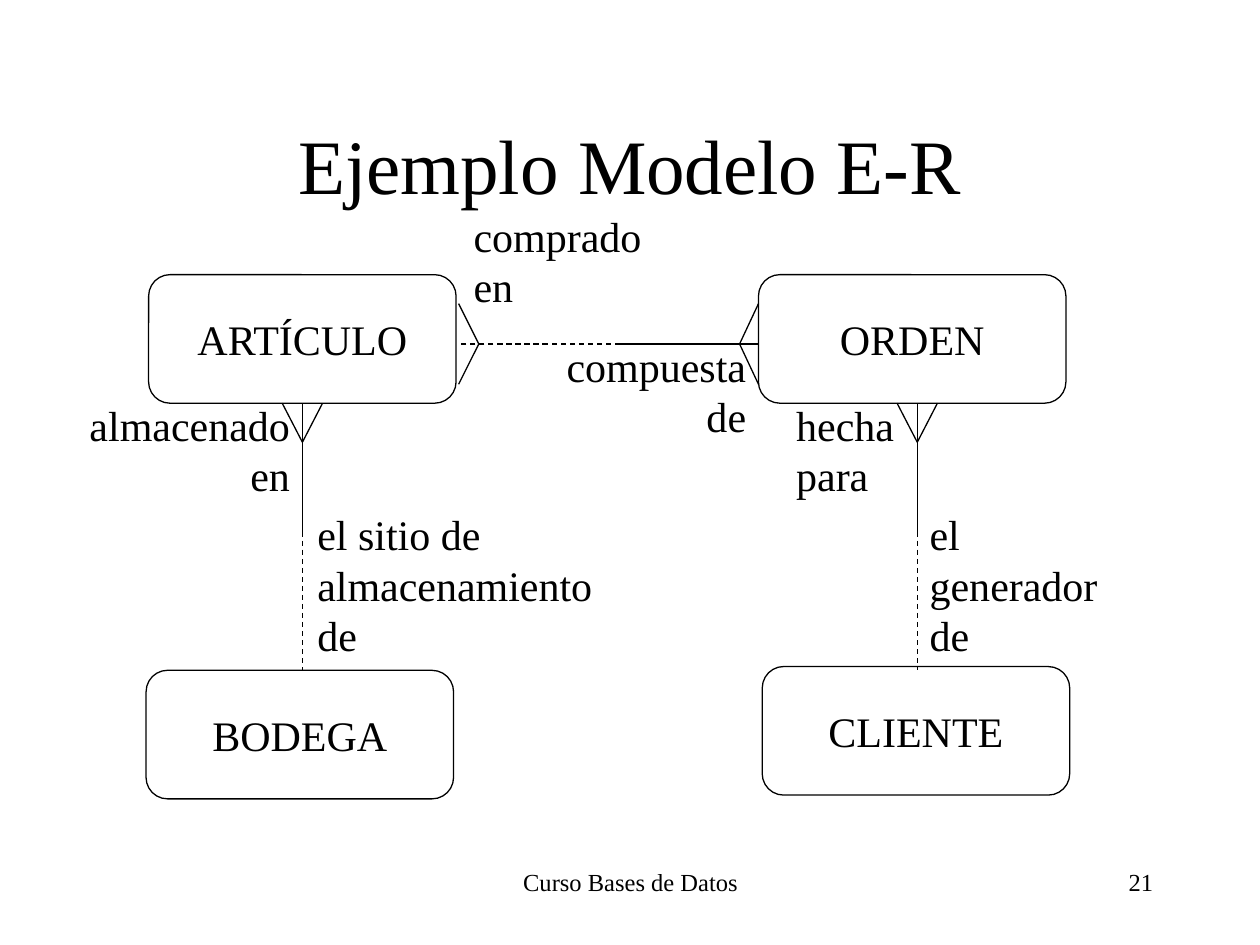
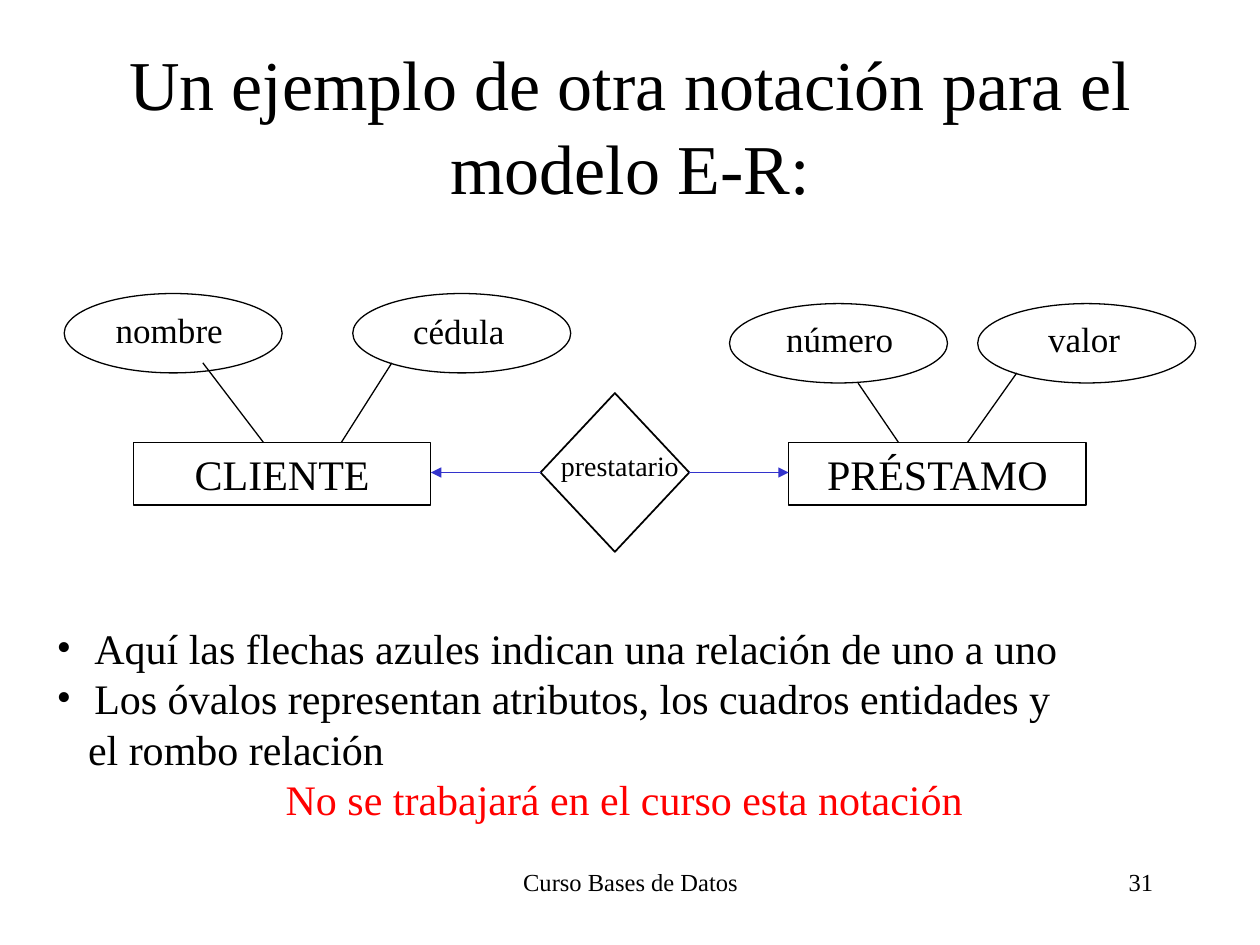
"""Builds two slides on entity-relationship notation."""
from dataclasses import dataclass

from lxml.etree import SubElement
from pptx import Presentation
from pptx.dml.color import RGBColor
from pptx.enum.dml import MSO_LINE
from pptx.enum.shapes import MSO_CONNECTOR, MSO_SHAPE as SHP
from pptx.enum.text import MSO_ANCHOR as ANC, PP_ALIGN as AL
from pptx.oxml.ns import qn
from pptx.util import Inches, Pt


@dataclass(frozen=True)
class Theme:
    font: str = "Times New Roman"
    ink: str = "000000"
    arrow: str = "3333CC"
    alert: str = "FF0000"
    paper: str = "FFFFFF"
    body: int = 24
    attribute: int = 20
    relation: int = 16
    footer: int = 14
    line: float = 0.75
    diamond_line: float = 1


T = Theme()
FOOTER = "Curso Bases de Datos"

ENTITY_SIZE = (2.44, 1.02)
ENTITIES = [
    ("ARTÍCULO", 1.18, 2.18),
    ("BODEGA", 1.16, 5.32),
    ("ORDEN", 6.02, 2.18),
    ("CLIENTE", 6.05, 5.29),
]
ROLES = [
    ("almacenado en", (0.27, 3.12, 2.13, 0.9), AL.RIGHT),
    ("el sitio de almacenamiento de", (2.42, 3.99, 2.6, 1.3), AL.LEFT),
    ("comprado en", (3.66, 1.62, 1.81, 0.9), AL.LEFT),
    ("compuesta de", (4.21, 2.65, 1.81, 0.9), AL.RIGHT),
    ("hecha para", (6.22, 3.12, 0.99, 0.9), AL.LEFT),
    ("el generador de", (7.28, 3.99, 1.57, 1.3), AL.LEFT),
]
VERTICAL_LINKS = [2.4, 7.28]
LINK_TOP, LINK_MID, LINK_END, FOOT_TIP = 3.2, 4.22, 5.32, 3.51
LINK_Y, LINK_LEFT, LINK_CENTER, LINK_RIGHT = 2.73, 3.66, 4.92, 6.02
SIDE_FEET = [(3.64, 3.8), (6.02, 5.87)]
FOOT_NARROW, FOOT_WIDE = 0.16, 0.32

BOX_TOP, BOX_SIZE = 3.51, (2.36, 0.5)
BOXES = [("CLIENTE", 1.06), ("PRÉSTAMO", 6.26)]
OVAL_SIZE = (1.73, 0.63)
ATTRIBUTES = [
    ("número", (5.79, 2.41), (6.14, 2.47, 1.1, 0.44), (6.81, 3.04), 7.13),
    ("valor", (7.76, 2.41), (8.22, 2.47, 0.82, 0.44), (8.07, 2.96), 7.68),
    ("nombre", (0.51, 2.33), (0.82, 2.4, 1.1, 0.44), (1.61, 2.88), 2.09),
    ("cédula", (2.8, 2.33), (3.18, 2.41, 0.98, 0.44), (3.11, 2.88), 2.71),
]
DIAMOND = (4.29, 3.12, 1.18, 1.26)
RELATION = ("prestatario", (4.21, 3.51, 1.42, 0.37))
NOTES = [
    ("Aquí las flechas azules indican una relación de uno a uno", True, AL.LEFT, T.ink),
    ("Los óvalos representan atributos, los cuadros entidades y", True, AL.LEFT, T.ink),
    ("el rombo relación", False, AL.LEFT, T.ink),
    ("No se trabajará en el curso esta notación", False, AL.CENTER, T.alert),
]
HANG, PLAIN_INDENT = 0.3, 0.25


def rgb(code):
    return RGBColor.from_string(code)


def style(p, size, align, color=T.ink):
    p.alignment = align
    for r in p.runs:
        r.font.name, r.font.size = T.font, Pt(size)
        r.font.color.rgb = rgb(color)


def add_text(s, text, box, size, align=AL.LEFT, anchor=ANC.TOP):
    tf = s.shapes.add_textbox(*map(Inches, box)).text_frame
    tf.word_wrap, tf.vertical_anchor = True, anchor
    tf.text = text
    style(tf.paragraphs[0], size, align)


def add_outline(s, kind, box, text="", width=T.line, anchor=ANC.MIDDLE):
    sp = s.shapes.add_shape(kind, *map(Inches, box))
    sp.shadow.inherit = False
    sp.fill.background()
    sp.line.color.rgb, sp.line.width = rgb(T.ink), Pt(width)
    if text:
        tf = sp.text_frame
        tf.text, tf.vertical_anchor = text, anchor
        style(tf.paragraphs[0], T.body, AL.CENTER)


def add_line(s, start, end, color=T.ink, dashed=False, arrow=False):
    points = map(Inches, (*start, *end))
    cx = s.shapes.add_connector(MSO_CONNECTOR.STRAIGHT, *points)
    cx.line.color.rgb, cx.line.width = rgb(color), Pt(T.line)
    if dashed:
        cx.line.dash_style = MSO_LINE.DASH
    spPr = cx._element.spPr
    if arrow:
        SubElement(spPr.find(qn("a:ln")), qn("a:tailEnd"), type="triangle")
    SubElement(spPr, qn("a:effectLst"))


def add_slide(prs, title, top, size, number):
    s = prs.slides.add_slide(prs.slide_layouts[6])
    s.background.fill.solid()
    s.background.fill.fore_color.rgb = rgb(T.paper)
    add_text(s, FOOTER, (3.42, 6.83, 3.17, 0.5), T.footer, AL.CENTER)
    add_text(s, number, (7.17, 6.83, 2.08, 0.5), T.footer, AL.RIGHT)
    add_text(s, title, (0.75, top, 8.5, 1.25), size, AL.CENTER, ANC.MIDDLE)
    return s


def draw_crow_foot_model(s):
    for name, x, y in ENTITIES:
        add_outline(s, SHP.ROUNDED_RECTANGLE, (x, y, *ENTITY_SIZE), name)
    for text, box, align in ROLES:
        add_text(s, text, box, T.body, align)
    for x in VERTICAL_LINKS:
        add_line(s, (x, LINK_TOP), (x, LINK_MID))
        add_line(s, (x, LINK_MID), (x, LINK_END), dashed=True)
        for side in (-FOOT_NARROW, FOOT_NARROW):
            add_line(s, (x + side, LINK_TOP), (x, FOOT_TIP))
    add_line(s, (LINK_CENTER, LINK_Y), (LINK_LEFT, LINK_Y), dashed=True)
    add_line(s, (LINK_CENTER, LINK_Y), (LINK_RIGHT, LINK_Y))
    for base, tip in SIDE_FEET:
        for side in (-FOOT_WIDE, FOOT_WIDE):
            add_line(s, (base, LINK_Y + side), (tip, LINK_Y))


def draw_oval_model(s):
    for name, x in BOXES:
        add_outline(s, SHP.RECTANGLE, (x, BOX_TOP, *BOX_SIZE), name, anchor=ANC.TOP)
    add_outline(s, SHP.FLOWCHART_DECISION, DIAMOND, width=T.diamond_line)
    add_text(s, *RELATION, T.relation, AL.CENTER)
    for name, oval, label, start, end_x in ATTRIBUTES:
        add_outline(s, SHP.OVAL, (*oval, *OVAL_SIZE))
        add_text(s, name, label, T.attribute)
        add_line(s, start, (end_x, BOX_TOP))
    left, top, width, height = DIAMOND
    y = top + height / 2
    client_edge, loan_edge = BOXES[0][1] + BOX_SIZE[0], BOXES[1][1]
    for start, end in ((left + width, loan_edge), (left, client_edge)):
        add_line(s, (start, y), (end, y), T.arrow, arrow=True)


def add_notes(s):
    tf = s.shapes.add_textbox(*map(Inches, (0.35, 4.89, 9.21, 1.7))).text_frame
    tf.word_wrap = True
    for i, (text, bullet, align, color) in enumerate(NOTES):
        p = tf.add_paragraph() if i else tf.paragraphs[0]
        p.text = text
        style(p, T.body, align, color)
        pPr = p._p.get_or_add_pPr()
        if bullet:
            pPr.set("marL", str(Inches(HANG)))
            pPr.set("indent", str(-Inches(HANG)))
            SubElement(pPr, qn("a:buFont"), typeface=T.font)
            SubElement(pPr, qn("a:buChar"), char="•")
        elif align == AL.LEFT:
            pPr.set("marL", str(Inches(PLAIN_INDENT)))


def main():
    prs = Presentation()
    prs.slide_width, prs.slide_height = Inches(10), Inches(7.5)
    draw_crow_foot_model(add_slide(prs, "Ejemplo Modelo E-R", 0.67, 44, "21"))
    title = "Un ejemplo de otra notación para el modelo E-R:"
    s = add_slide(prs, title, 0.36, 40, "31")
    draw_oval_model(s)
    add_notes(s)
    prs.save("out.pptx")


if __name__ == "__main__":
    main()
